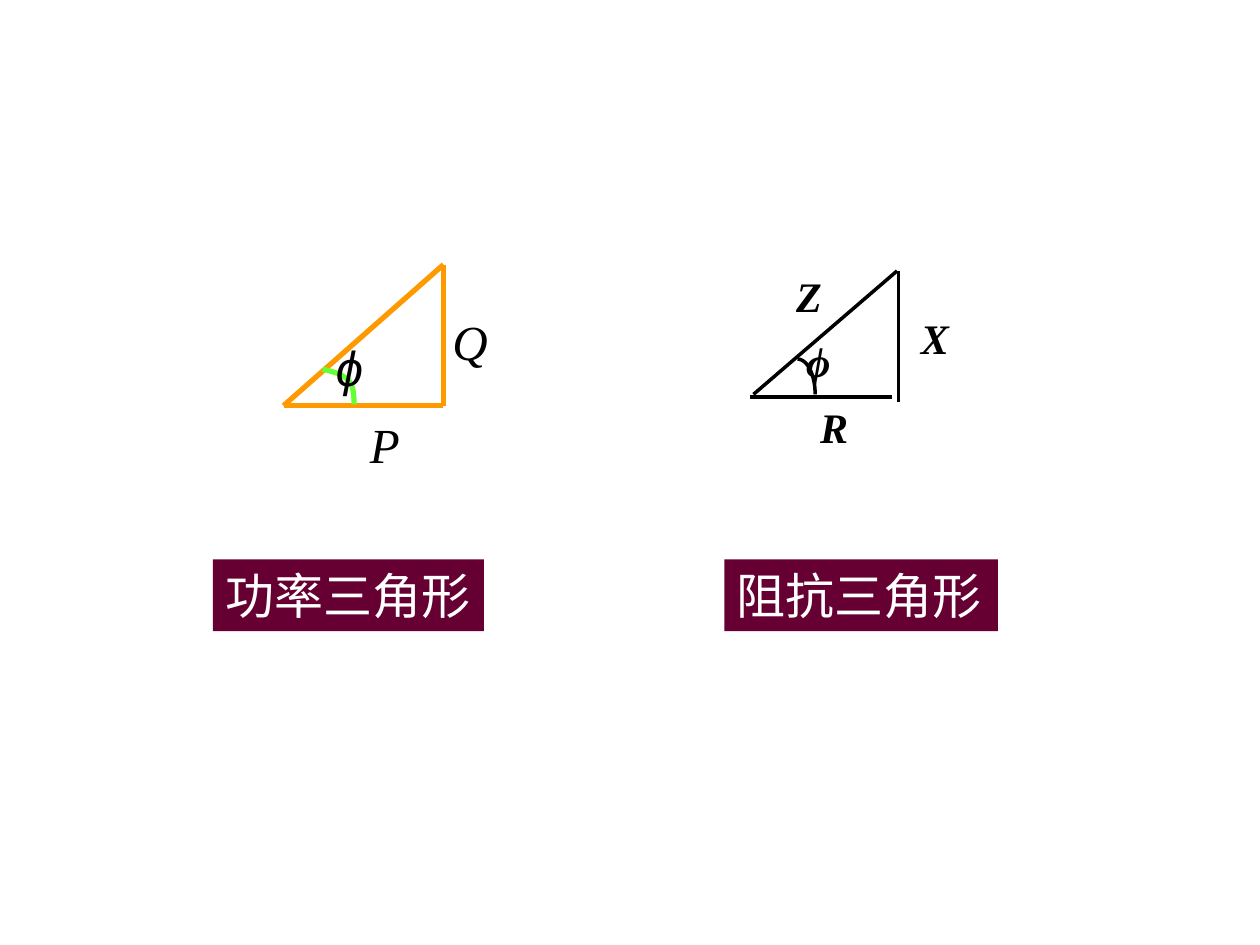
from dataclasses import dataclass

from lxml import etree
from pptx import Presentation
from pptx import util as u
from pptx.dml.color import RGBColor
from pptx.enum import shapes, text
from pptx.oxml import ns

FONT = "Times New Roman"
BLACK, WHITE, ORANGE, GREEN, PLUM = "000000", "FFFFFF", "FF9900", "66FF33", "660033"
ARC_STEPS = 24

Point = tuple[float, float]


@dataclass
class Label:
    text: str
    left: float
    top: float
    width: float
    height: float
    font: str = FONT


@dataclass
class Triangle:
    sides: list[tuple[Point, Point]]
    side_color: str
    arc: tuple[Point, Point, Point, Point]
    arc_color: str
    line_width: float
    labels: list[Label]
    label_size: int
    bold: bool
    align: text.PP_ALIGN
    anchor: text.MSO_ANCHOR
    caption: Label


POWER = Triangle(
    sides=[((3.52, 2.1), (2.25, 3.22)), ((3.52, 2.1), (3.52, 3.22)),
           ((2.25, 3.22), (3.52, 3.22))],
    side_color=ORANGE,
    arc=((2.56, 2.93), (2.78, 2.98), (2.81, 3.03), (2.81, 3.21)),
    arc_color=GREEN,
    line_width=3,
    labels=[Label("ϕ", 2.56, 2.63, 0.43, 0.57, "Arial"),
            Label("P", 2.8, 3.24, 0.51, 0.57),
            Label("Q", 3.49, 2.42, 0.48, 0.57)],
    label_size=28, bold=False,
    align=text.PP_ALIGN.CENTER, anchor=text.MSO_ANCHOR.MIDDLE,
    caption=Label("功率三角形", 1.69, 4.44, 2.15, 0.57),
)
IMPEDANCE = Triangle(
    sides=[((5.95, 3.15), (7.08, 3.15)), ((7.13, 3.19), (7.13, 2.15)),
           ((7.12, 2.15), (5.98, 3.13))],
    side_color=BLACK,
    arc=((6.33, 2.85), (6.41, 2.85), (6.47, 2.98), (6.47, 3.13)),
    arc_color=BLACK,
    line_width=2,
    labels=[Label("R", 6.41, 3.14, 0.42, 0.5),
            Label("X", 7.21, 2.43, 0.42, 0.5),
            Label("Z", 6.22, 2.1, 0.41, 0.5),
            Label("ϕ", 6.3, 2.61, 0.4, 0.5)],
    label_size=24, bold=True,
    align=text.PP_ALIGN.LEFT, anchor=text.MSO_ANCHOR.TOP,
    caption=Label("阻抗三角形", 5.75, 4.44, 2.17, 0.57),
)


def rgb(color: str) -> RGBColor:
    return RGBColor.from_string(color)


def bounds(label: Label) -> list[u.Length]:
    return [u.Inches(v) for v in (label.left, label.top, label.width, label.height)]


def write(box, label: Label, size: int, color: str, align, anchor,
          bold: bool = False, italic: bool = False) -> None:
    frame = box.text_frame
    frame.word_wrap = False
    frame.auto_size = text.MSO_AUTO_SIZE.SHAPE_TO_FIT_TEXT
    frame.vertical_anchor = anchor
    para = frame.paragraphs[0]
    para.text = label.text
    para.alignment = align
    font = para.font
    font.name, font.size = label.font, u.Pt(size)
    font.bold, font.italic = bold, italic
    font.color.rgb = rgb(color)


def draw_side(group, start: Point, end: Point, color: str, width: float) -> None:
    side = group.shapes.add_connector(
        shapes.MSO_CONNECTOR.STRAIGHT, *(u.Inches(v) for v in start + end))
    side.line.color.rgb = rgb(color)
    side.line.width = u.Pt(width)
    etree.SubElement(side._element.spPr, ns.qn("a:effectLst"))


def bezier(controls: tuple[Point, ...], t: float) -> Point:
    weights = ((1 - t) ** 3, 3 * t * (1 - t) ** 2, 3 * t * t * (1 - t), t ** 3)
    x, y = (u.Inches(sum(w * c[axis] for w, c in zip(weights, controls)))
            for axis in (0, 1))
    return x, y


def draw_arc(group, controls: tuple[Point, ...], color: str, width: float) -> None:
    points = [bezier(controls, step / ARC_STEPS) for step in range(ARC_STEPS + 1)]
    builder = group.shapes.build_freeform(*points[0])
    builder.add_line_segments(points[1:], close=False)
    arc = builder.convert_to_shape()
    arc.shadow.inherit = False
    arc.fill.background()
    arc.line.color.rgb = rgb(color)
    arc.line.width = u.Pt(width)


def draw_caption(page, label: Label) -> None:
    box = page.shapes.add_shape(shapes.MSO_SHAPE.RECTANGLE, *bounds(label))
    box.shadow.inherit = False
    box.fill.solid()
    box.fill.fore_color.rgb = rgb(PLUM)
    box.line.fill.background()
    write(box, label, 28, WHITE, text.PP_ALIGN.LEFT, text.MSO_ANCHOR.MIDDLE)


def draw_triangle(page, triangle: Triangle) -> None:
    group = page.shapes.add_group_shape()
    for start, end in triangle.sides:
        draw_side(group, start, end, triangle.side_color, triangle.line_width)
    draw_arc(group, triangle.arc, triangle.arc_color, triangle.line_width)
    for label in triangle.labels:
        box = group.shapes.add_textbox(*bounds(label))
        write(box, label, triangle.label_size, BLACK, triangle.align,
              triangle.anchor, triangle.bold, italic=True)
    draw_caption(page, triangle.caption)


def main() -> None:
    deck = Presentation()
    deck.slide_width, deck.slide_height = u.Inches(10), u.Inches(7.5)
    page = deck.slides.add_slide(deck.slide_layouts[6])
    page.background.fill.solid()
    page.background.fill.fore_color.rgb = rgb(WHITE)
    for triangle in (POWER, IMPEDANCE):
        draw_triangle(page, triangle)
    deck.save("out.pptx")


if __name__ == "__main__":
    main()
